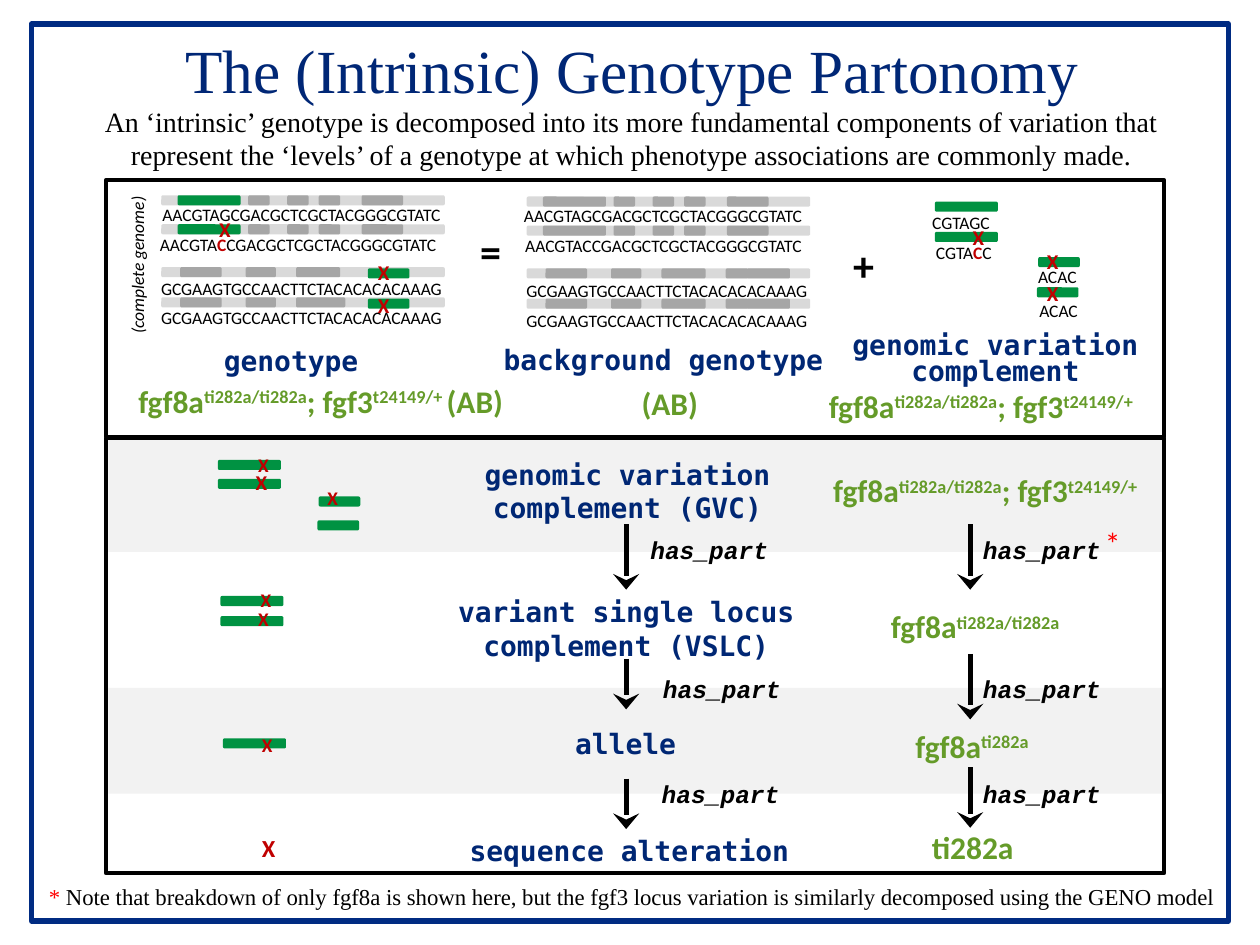
from pptx import Presentation
from pptx.dml.color import RGBColor
from pptx.enum.shapes import MSO_CONNECTOR, MSO_SHAPE
from pptx.enum.text import MSO_ANCHOR, MSO_AUTO_SIZE, PP_ALIGN
from pptx.oxml.ns import qn
from pptx.util import Inches, Pt
from lxml import etree

RECTANGLE, ROUNDED = MSO_SHAPE.RECTANGLE, MSO_SHAPE.ROUNDED_RECTANGLE
STRAIGHT = MSO_CONNECTOR.STRAIGHT
LEFT, CENTER = PP_ALIGN.LEFT, PP_ALIGN.CENTER
TOP = MSO_ANCHOR.TOP
FIT_SHAPE, NO_FIT = MSO_AUTO_SIZE.SHAPE_TO_FIT_TEXT, MSO_AUTO_SIZE.NONE

BLACK = RGBColor(0, 0, 0)
TITLE_BLUE = RGBColor(0x00, 0x27, 0x76)
LABEL_BLUE = RGBColor(0x00, 0x27, 0x74)
FRAME_BLUE = RGBColor(0x00, 0x2B, 0x82)
GENE_GREEN = RGBColor(0x65, 0x9B, 0x29)
LOCUS_GREEN = RGBColor(0x00, 0x92, 0x42)
STRAND_GREY = RGBColor(0xD9, 0xD9, 0xD9)
BAND_GREY = RGBColor(0xA6, 0xA6, 0xA6)
ROW_GREY = RGBColor(0xF2, 0xF2, 0xF2)
DARK_RED = RGBColor(0xC0, 0, 0)
RED = RGBColor(0xFF, 0, 0)

SERIF, SANS, MONO, COURIER = "Times New Roman", "Calibri", "DejaVu Sans Mono", "Courier New"

# Slide grid, in inches
SLIDE_WIDTH, SLIDE_HEIGHT = 10, 7.5
PANEL_LEFT, PANEL_WIDTH = 0.84, 8.4
TERM_X, GENE_X = 4.97, 7.7          # arrow columns
BAR_HEIGHT, STRAND_WIDTH = 0.08, 2.25
FGF8A_WIDTH, FGF3_WIDTH = 0.5, 0.33

# Bands on each chromosome: (offset from the strand's left end, width)
FGF8A_BAND = (0.13, FGF8A_WIDTH)
FIRST_BANDS = [(0.69, 0.17), (1.0, 0.17), (1.25, 0.17), (1.59, 0.33)]
SECOND_BANDS = [(0.15, 0.33), (0.67, 0.24)]
FGF3_BANDS = [(1.58, 0.18), (1.75, 0.34)]

WILD_SEQUENCE = "AACGTAGCGACGCTCGCTACGGGCGTATC"
SECOND_SEQUENCE = "GCGAAGTGCCAACTTCTACACACACAAAG"
GVC_GENES = "fgf8a^ti282a/ti282a^; fgf3^t24149/+"
SUPERSCRIPT = {"baseline": 30}
MUTATION = {"color": DARK_RED, "bold": True}


def format_run(run, font, size, color, bold=False, italic=False, baseline=0):
    run.font.name, run.font.size = font, Pt(size)
    run.font.bold, run.font.italic = bold, italic
    run.font.color.rgb = color
    if baseline:
        run.font._element.set("baseline", str(baseline * 1000))


def add_text(slide, box, text, mark=None, align=LEFT, wrap=False, spacing=None,
             rotation=0, font=SANS, size=10, color=BLACK, **style):
    """Write lines of text; parts between ^ signs take the mark format."""
    shape = slide.shapes.add_textbox(*map(Inches, box))
    shape.rotation = rotation
    frame = shape.text_frame
    frame.word_wrap = wrap
    frame.auto_size = NO_FIT if wrap else FIT_SHAPE
    frame.vertical_anchor = TOP
    base = {"font": font, "size": size, "color": color, **style}
    for index, line in enumerate(text.split("\n")):
        paragraph = frame.paragraphs[0] if index == 0 else frame.add_paragraph()
        paragraph.alignment = align
        if spacing:
            paragraph.line_spacing = Pt(spacing)
        for number, part in enumerate(line.split("^")):
            if part:
                run = paragraph.add_run()
                run.text = part
                format_run(run, **{**base, **(mark or {} if number % 2 else {})})


def add_box(slide, box, kind=RECTANGLE, fill=None, line=None, weight=2.25):
    shape = slide.shapes.add_shape(kind, *map(Inches, box))
    shape.shadow.inherit = False
    if fill is None:
        shape.fill.background()
    else:
        shape.fill.solid()
        shape.fill.fore_color.rgb = fill
    if line is None:
        shape.line.fill.background()
    else:
        shape.line.color.rgb = line
        shape.line.width = Pt(weight)


def add_bar(slide, left, top, width, color=LOCUS_GREEN):
    add_box(slide, (left, top, width, BAR_HEIGHT), ROUNDED, color)


def add_strand(slide, left, top, bands):
    add_bar(slide, left, top, STRAND_WIDTH, STRAND_GREY)
    for offset, width in bands:
        add_bar(slide, left + offset, top, width, BAND_GREY)


def add_sequence(slide, left, top, text, width=2.49):
    add_text(slide, (left, top, width, 0.27), text, mark=MUTATION)


def add_cross(slide, left, top, size=12):
    add_text(slide, (left, top, 0.29, 0.3), "X", size=size, **MUTATION)


def add_term(slide, box, text, spacing=None):
    add_text(slide, box, text, align=CENTER, spacing=spacing,
             font=MONO, size=16, color=LABEL_BLUE, bold=True)


def add_genes(slide, box, text):
    add_text(slide, box, text, mark=SUPERSCRIPT, align=CENTER, size=18,
             color=GENE_GREEN, bold=True)


def add_arrow(slide, x, top, bottom):
    arrow = slide.shapes.add_connector(STRAIGHT, *map(Inches, (x, top, x, bottom)))
    arrow.line.color.rgb = BLACK
    arrow.line.width = Pt(3)
    etree.SubElement(arrow.line._get_or_add_ln(), qn("a:tailEnd"), type="stealth", w="lg")
    etree.SubElement(arrow._element.spPr, qn("a:effectLst"))


def add_panels(slide):
    for top, height in ((5.46, 0.84), (3.46, 0.92)):
        add_box(slide, (0.86, top, 8.37, height), fill=ROW_GREY)
    for top, height in ((1.43, 2.04), (3.48, 3.45)):
        add_box(slide, (PANEL_LEFT, top, PANEL_WIDTH, height), line=BLACK)
    add_box(slide, (0.25, 0.19, SLIDE_WIDTH - 0.5, 7.12), line=FRAME_BLUE, weight=3)


def add_headings(slide):
    add_text(slide, (0.52, 0.21, 9, 0.6), "The (Intrinsic) Genotype Partonomy",
             align=CENTER, wrap=True, font=SERIF, size=35, color=TITLE_BLUE)
    add_text(slide, (0.42, 0.78, 9.18, 0.64),
             "An ‘intrinsic’ genotype is decomposed into its more fundamental "
             "components of variation that represent the ‘levels’ of a genotype "
             "at which phenotype associations are commonly made.",
             align=CENTER, wrap=True, font=SERIF, size=16)
    add_text(slide, (0.29, 6.96, 9.56, 0.32),
             "^* ^Note that breakdown of only fgf8a is shown here, but the fgf3 locus "
             "variation is similarly decomposed using the GENO model",
             mark={"color": RED}, font=SERIF, size=13)


def add_equation(slide):
    # Genotype and background strands
    for left, top, with_loci in ((1.28, 1.55, True), (4.18, 1.56, False)):
        for drop in (0, 0.23):
            add_strand(slide, left, top + drop,
                       FIRST_BANDS if with_loci else [FGF8A_BAND] + FIRST_BANDS)
            if with_loci:
                add_bar(slide, left + FGF8A_BAND[0], top + drop, FGF8A_WIDTH)
        for drop, last_width in ((0.57, 0.35), (0.81, 0.39 if with_loci else 0.35)):
            bands = SECOND_BANDS + [(1.07, last_width)]
            add_strand(slide, left, top + drop, bands if with_loci else bands + FGF3_BANDS)
            if with_loci:
                add_bar(slide, left + 1.64, top + drop + 0.01, FGF3_WIDTH)

    # Variant loci of the complement
    for top in (1.6, 1.84):
        add_bar(slide, 7.42, top, FGF8A_WIDTH)
    for left, top in ((8.24, 2.04), (8.23, 2.28)):
        add_bar(slide, left, top, FGF3_WIDTH)

    # Sequences
    for left, top, text in ((1.19, 1.57, WILD_SEQUENCE),
                            (1.17, 1.81, "AACGTA^C^CGACGCTCGCTACGGGCGTATC"),
                            (1.18, 2.16, SECOND_SEQUENCE), (1.18, 2.39, SECOND_SEQUENCE),
                            (4.06, 1.58, WILD_SEQUENCE),
                            (4.07, 1.82, "AACGTACCGACGCTCGCTACGGGCGTATC"),
                            (4.08, 2.17, SECOND_SEQUENCE), (4.08, 2.41, SECOND_SEQUENCE)):
        add_sequence(slide, left, top, text)
    for left, top, text in ((7.3, 1.63, "CGTAGC"), (7.33, 1.87, "CGTA^C^C"),
                            (8.14, 2.06, "ACAC"), (8.15, 2.33, "ACAC")):
        add_sequence(slide, left, top, text, width=0.68 if "G" in text else 0.52)
    for left, top in ((1.64, 1.67), (2.9, 2.01), (2.9, 2.27),
                      (7.62, 1.73), (8.21, 1.92), (8.21, 2.18)):
        add_cross(slide, left, top)
    add_text(slide, (0.44, 1.96, 1.3, 0.27), "(complete genome)", rotation=270, italic=True)

    # Operators, terms and gene names
    for left, top, sign in ((3.71, 1.74, "="), (6.67, 1.85, "+")):
        add_text(slide, (left, top, 0.37, 0.5), sign, align=CENTER, size=24, bold=True)
    add_term(slide, (1.67, 2.68, 1.28, 0.37), "genotype")
    add_term(slide, (3.88, 2.67, 2.77, 0.37), "background genotype")
    add_term(slide, (6.65, 2.61, 2.5, 0.54), "genomic variation\ncomplement", spacing=15)
    add_genes(slide, (0.84, 2.98, 3.41, 0.4), "fgf8a^ti282a/ti282a^; fgf3^t24149/+ ^(AB)")
    add_genes(slide, (4.99, 3, 0.65, 0.4), "(AB)")
    add_genes(slide, (6.36, 3.02, 2.85, 0.4), GVC_GENES)


def add_decomposition(slide):
    # Locus bars and mutation crosses
    for left, top in ((1.73, 3.65), (1.73, 3.8), (1.75, 4.73), (1.75, 4.89), (1.77, 5.86)):
        add_bar(slide, left, top, FGF8A_WIDTH)
    for left, top in ((2.53, 3.94), (2.52, 4.13)):
        add_bar(slide, left, top, FGF3_WIDTH)
    for left, top, size in ((1.95, 3.55, 11), (1.93, 3.68, 12), (2.5, 3.81, 11),
                            (1.97, 4.62, 11), (1.95, 4.77, 11), (1.98, 5.77, 11),
                            (1.98, 6.56, 14)):
        add_cross(slide, left, top, size)

    # Levels and their gene names
    add_term(slide, (3.73, 3.58, 2.5, 0.64), "genomic variation\ncomplement (GVC)")
    add_term(slide, (3.52, 4.67, 2.9, 0.64), "variant single locus\ncomplement (VSLC)")
    add_term(slide, (4.46, 5.75, 1.01, 0.35), "allele", spacing=17)
    add_term(slide, (3.61, 6.57, 2.77, 0.37), "sequence alteration")
    add_genes(slide, (6.35, 3.69, 2.94, 0.4), GVC_GENES)
    add_genes(slide, (6.9, 4.77, 1.68, 0.4), "fgf8a^ti282a/ti282a")
    add_genes(slide, (7.13, 5.72, 1.17, 0.4), "fgf8a^ti282a")
    add_genes(slide, (7.29, 6.52, 0.86, 0.4), "ti282a")

    # Part relations
    for x, top, bottom in ((TERM_X, 4.16, 4.68), (TERM_X, 5.23, 5.63), (TERM_X, 6.18, 6.58),
                           (GENE_X, 4.16, 4.68), (GENE_X, 5.19, 5.71), (GENE_X, 6.09, 6.57)):
        add_arrow(slide, x, top, bottom)
    for top, term_left in ((4.2, 5.06), (5.3, 5.16), (6.13, 5.15)):
        for left in (term_left, GENE_X):
            add_text(slide, (left, top, 1.14, 0.34), "has_part", align=CENTER,
                     font=COURIER, size=14, bold=True, italic=True)
    add_text(slide, (8.67, 4.11, 0.33, 0.4), "*", size=18, color=RED)


def main():
    presentation = Presentation()
    presentation.slide_width = Inches(SLIDE_WIDTH)
    presentation.slide_height = Inches(SLIDE_HEIGHT)
    slide = presentation.slides.add_slide(presentation.slide_layouts[6])
    add_panels(slide)
    add_headings(slide)
    add_equation(slide)
    add_decomposition(slide)
    presentation.save("out.pptx")


if __name__ == "__main__":
    main()
